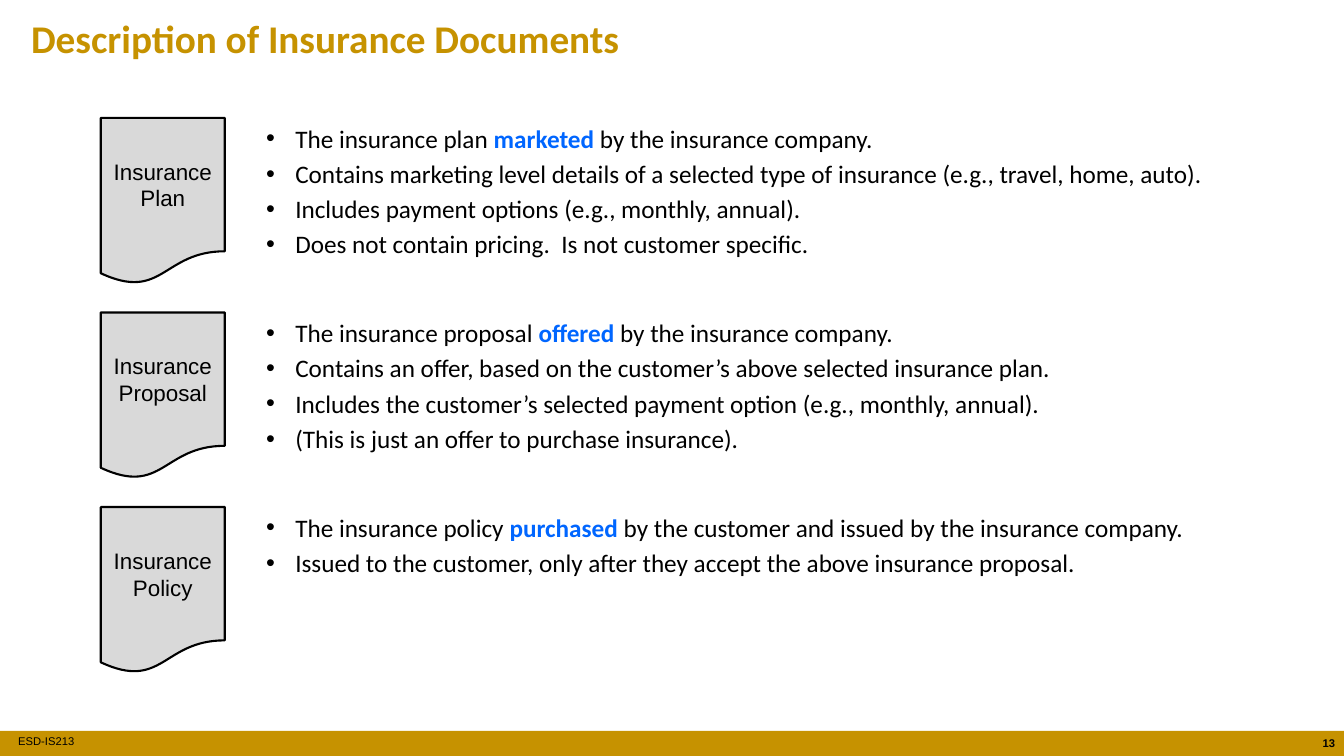
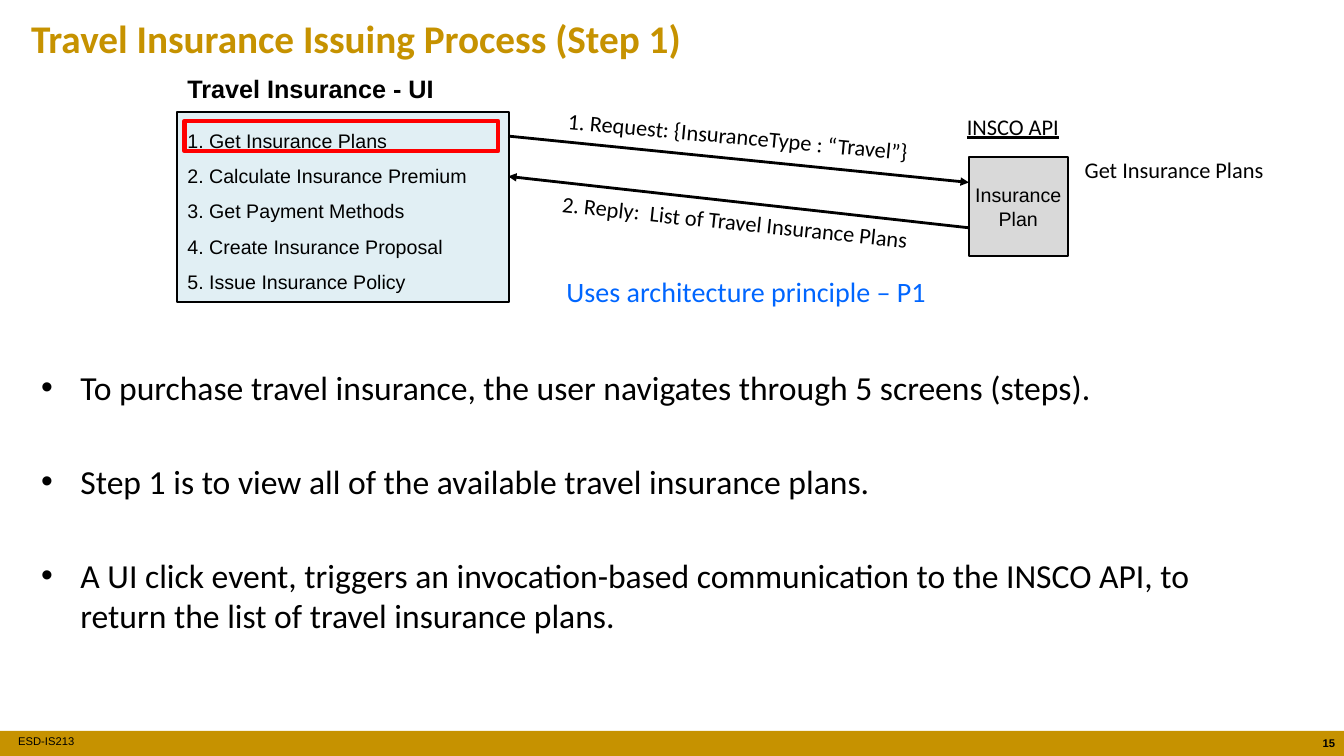
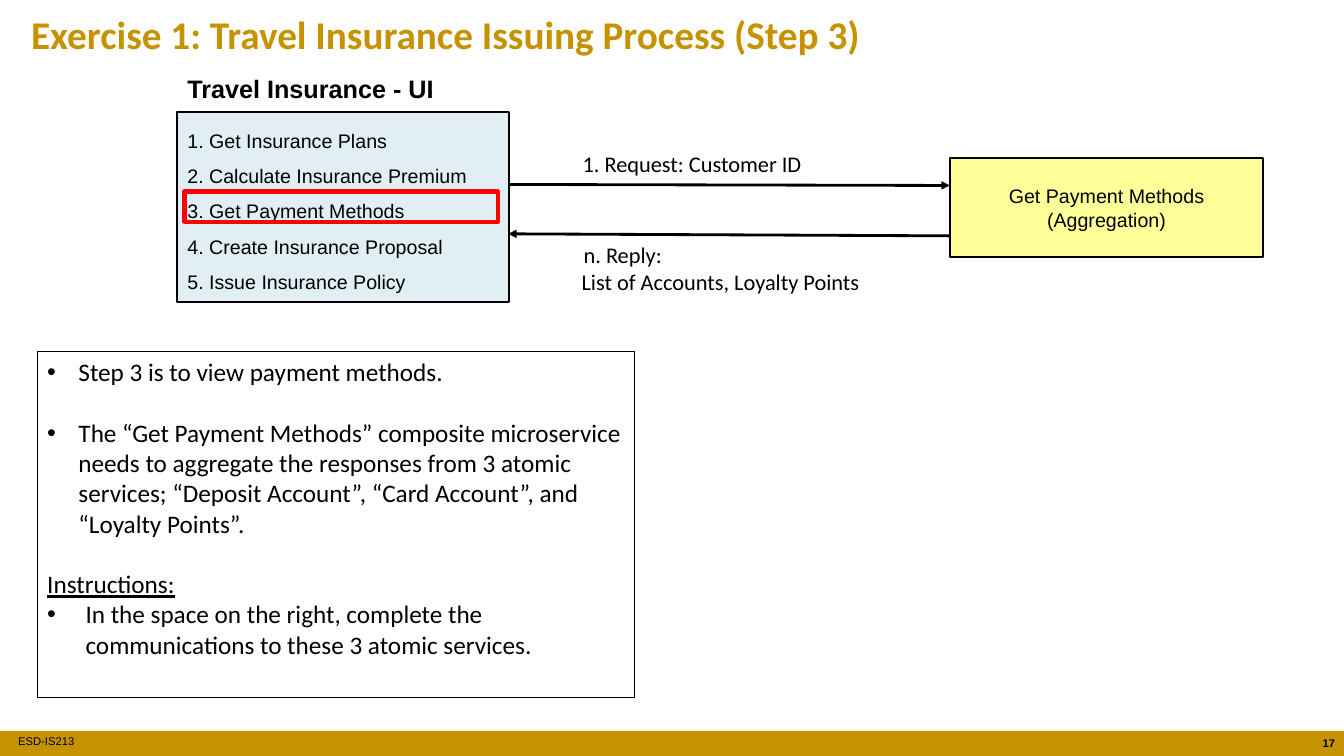
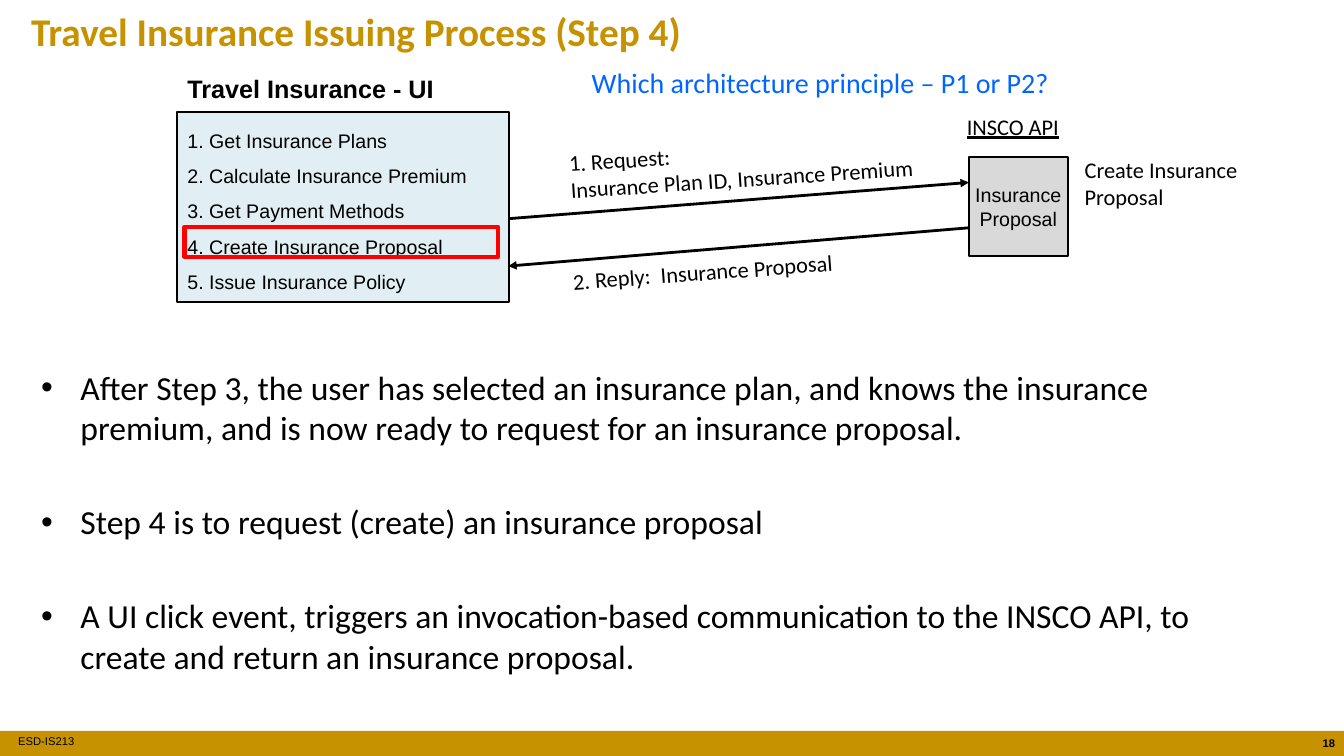
from dataclasses import dataclass, replace
from typing import NamedTuple, Optional, Sequence, Union

from lxml import etree
from pptx import Presentation
from pptx.dml.color import RGBColor
from pptx.enum.shapes import MSO_CONNECTOR, MSO_SHAPE
from pptx.enum.text import MSO_ANCHOR, PP_ALIGN
from pptx.oxml.ns import qn
from pptx.util import Pt

RECTANGLE, DOCUMENT = MSO_SHAPE.RECTANGLE, MSO_SHAPE.FLOWCHART_DOCUMENT
STRAIGHT = MSO_CONNECTOR.STRAIGHT
TOP, MIDDLE = MSO_ANCHOR.TOP, MSO_ANCHOR.MIDDLE
LEFT, CENTER, RIGHT = PP_ALIGN.LEFT, PP_ALIGN.CENTER, PP_ALIGN.RIGHT

EMU_PER_PX = 9144  # 100 px to the inch
SLIDE_WIDTH, SLIDE_HEIGHT = 1333, 750

GOLD, BLACK, BLUE, RED = "C69200", "000000", "0066FF", "FF0000"
GRAY, PALE_BLUE, YELLOW = "D9D9D9", "E1EFF4", "FFFF99"


class Box(NamedTuple):
    left: int
    top: int
    width: int
    height: int


class Insets(NamedTuple):
    left: int = 10
    top: int = 5
    right: int = 10
    bottom: int = 5


class Arrow(NamedTuple):
    start_x: int
    start_y: int
    end_x: int
    end_y: int


@dataclass(frozen=True)
class Style:
    size: int
    font: str = "Calibri"
    color: str = BLACK
    bold: bool = False
    underline: bool = False
    align: PP_ALIGN = LEFT
    line_spacing: Optional[float] = None


@dataclass(frozen=True)
class Line:
    """One paragraph; the accent is a bold blue word between text and rest."""
    text: str
    accent: str = ""
    rest: str = ""
    margin: int = 0
    bullet: bool = False
    before: float = 0
    underline: bool = False


@dataclass(frozen=True)
class Label:
    box: Box
    lines: Sequence[Union[str, Line]]
    rotation: float = 0


@dataclass(frozen=True)
class DocumentRow:
    name: str
    bullets: Sequence[Line]


@dataclass(frozen=True)
class ApiCall:
    """One step of the process that calls the insurance API."""
    number: str
    title: str
    title_top: int
    step: int
    service: str
    operation: Label
    arrows: Sequence[Arrow]
    messages: Sequence[Label]
    principle: Label
    bullets: Sequence[str]


TITLE = Style(28, color=GOLD, bold=True)
FOOTER = Style(8, "Arial")
PAGE_NUMBER = Style(8, "Arial", bold=True, align=RIGHT)
BODY, NOTE, MESSAGE = Style(24), Style(18), Style(16)
API_NAME = Style(16, underline=True)
PRINCIPLE = Style(20, color=BLUE)
DOCUMENT_NAME = Style(16, "Arial", align=CENTER)
SERVICE_NAME = Style(14, "Arial", align=CENTER)
SCREEN_TITLE = Style(18, "Arial", bold=True)
SCREEN_STEP = Style(14, "Arial", line_spacing=1.5)
TIGHT = Insets(4, 4, 4, 4)

SCREEN = Box(176, 111, 329, 189)
SCREEN_STEPS = (
    "1. Get Insurance Plans",
    "2. Calculate Insurance Premium",
    "3. Get Payment Methods",
    "4. Create Insurance Proposal",
    "5. Issue Insurance Policy",
)
STEP_PITCH = 35
DOCUMENT_TOP, DOCUMENT_PITCH, DOCUMENT_HEIGHT = 117, 193, 165


# Basic parts

def px(length: int) -> int:
    return length * EMU_PER_PX


def rgb(color: str) -> RGBColor:
    return RGBColor.from_string(color)


def place(box: Box) -> list:
    return [px(length) for length in box]


def add_bullet(paragraph, margin: int) -> None:
    properties = paragraph._p.get_or_add_pPr()
    properties.set("indent", str(-px(margin)))
    etree.SubElement(properties, qn("a:buFont")).set("typeface", "Arial")
    etree.SubElement(properties, qn("a:buChar")).set("char", "•")


def write_line(paragraph, line: Line, style: Style) -> None:
    paragraph.alignment = style.align
    paragraph.space_before = Pt(line.before)
    if style.line_spacing:
        paragraph.line_spacing = style.line_spacing
    if line.margin:
        paragraph._p.get_or_add_pPr().set("marL", str(px(line.margin)))
    if line.bullet:
        add_bullet(paragraph, line.margin)
    font = paragraph.font
    font.size, font.name = Pt(style.size), style.font
    font.bold = style.bold
    font.underline = style.underline or line.underline
    font.color.rgb = rgb(style.color)
    paragraph.add_run().text = line.text
    if line.accent:
        accent = paragraph.add_run()
        accent.text = line.accent
        accent.font.bold = True
        accent.font.color.rgb = rgb(BLUE)
        paragraph.add_run().text = line.rest


def write_text(shape, lines: Sequence[Union[str, Line]], style: Style,
               insets: Insets = Insets(), anchor: MSO_ANCHOR = TOP) -> None:
    frame = shape.text_frame
    frame.word_wrap = True
    frame.vertical_anchor = anchor
    frame.margin_left, frame.margin_top = px(insets.left), px(insets.top)
    frame.margin_right, frame.margin_bottom = px(insets.right), px(insets.bottom)
    for index, line in enumerate(lines):
        paragraph = frame.add_paragraph() if index else frame.paragraphs[0]
        write_line(paragraph, Line(line) if isinstance(line, str) else line, style)


def add_text(slide, box: Box, lines: Sequence[Union[str, Line]], style: Style,
             insets: Insets = Insets()) -> None:
    write_text(slide.shapes.add_textbox(*place(box)), lines, style, insets)


def add_label(slide, label: Label, style: Style) -> None:
    shape = slide.shapes.add_textbox(*place(label.box))
    shape.rotation = label.rotation
    write_text(shape, label.lines, style)


def add_shape(slide, box: Box, fill: Optional[str] = None, line: Optional[str] = BLACK,
              width: float = 1.5, kind: MSO_SHAPE = RECTANGLE):
    shape = slide.shapes.add_shape(kind, *place(box))
    shape.shadow.inherit = False
    if fill:
        shape.fill.solid()
        shape.fill.fore_color.rgb = rgb(fill)
    else:
        shape.fill.background()
    if line:
        shape.line.color.rgb = rgb(line)
        shape.line.width = Pt(width)
    else:
        shape.line.fill.background()
    return shape


def add_arrow(slide, arrow: Arrow) -> None:
    connector = slide.shapes.add_connector(STRAIGHT, *[px(value) for value in arrow])
    connector.line.color.rgb = rgb(BLACK)
    connector.line.width = Pt(2)
    head = etree.SubElement(connector.line._get_or_add_ln(), qn("a:tailEnd"))
    head.set("type", "triangle")
    etree.SubElement(connector._element.spPr, qn("a:effectLst"))


# Parts that slides share

def add_slide(presentation, title: str, number: str, title_top: int = 9):
    slide = presentation.slides.add_slide(presentation.slide_layouts[6])
    add_shape(slide, Box(0, 725, SLIDE_WIDTH, 25), GOLD, None)
    add_text(slide, Box(18, 724, 172, 25), ["ESD-IS213"], FOOTER, Insets(0, 5, 0, 5))
    add_text(slide, Box(1295, 726, 39, 24), [number], PAGE_NUMBER)
    add_text(slide, Box(21, title_top, 1285, 62), [title], TITLE)
    return slide


def add_screen(slide, step: int) -> None:
    """The user interface, with a red frame round the current step."""
    write_text(add_shape(slide, SCREEN, PALE_BLUE), SCREEN_STEPS, SCREEN_STEP)
    add_text(slide, Box(SCREEN.left, 68, 326, 40), ["Travel Insurance - UI"], SCREEN_TITLE)
    frame_top = 120 + (step - 1) * STEP_PITCH
    add_shape(slide, Box(183, frame_top, 311, 30), line=RED, width=3)


def add_service(slide, box: Box, lines: Sequence[str], fill: str) -> None:
    write_text(add_shape(slide, box, fill), lines, SERVICE_NAME, TIGHT, MIDDLE)


def spaced_bullets(texts: Sequence[str]) -> list:
    """Large bullets, set apart by an empty line's height."""
    first_gap, gap = 0.2 * BODY.size, 1.6 * BODY.size
    return [Line(text, margin=39, bullet=True, before=gap if index else first_gap)
            for index, text in enumerate(texts)]


# Slides

def add_documents_slide(presentation, rows: Sequence[DocumentRow]) -> None:
    slide = add_slide(presentation, "Description of Insurance Documents", "13")
    for index, row in enumerate(rows):
        top = DOCUMENT_TOP + index * DOCUMENT_PITCH
        document = add_shape(slide, Box(100, top, 123, DOCUMENT_HEIGHT), GRAY, kind=DOCUMENT)
        write_text(document, [row.name], DOCUMENT_NAME, anchor=MIDDLE)
        bullets = [replace(line, margin=29, bullet=True, before=0.2 * NOTE.size)
                   for line in row.bullets]
        add_text(slide, Box(254, top, 991, DOCUMENT_HEIGHT), bullets, NOTE)


def add_api_slide(presentation, call: ApiCall) -> None:
    slide = add_slide(presentation, call.title, call.number, call.title_top)
    add_service(slide, Box(961, 156, 98, 98), [call.service], GRAY)
    add_screen(slide, call.step)
    for arrow in call.arrows:
        add_arrow(slide, arrow)
    for label in (*call.messages, call.operation):
        add_label(slide, label, MESSAGE)
    add_text(slide, Box(949, 107, 258, 37), ["INSCO API"], API_NAME)
    add_text(slide, Box(31, 359, 1234, 338), spaced_bullets(call.bullets), BODY)
    add_label(slide, call.principle, PRINCIPLE)


def add_exercise_slide(presentation) -> None:
    title = "Exercise 1: Travel Insurance Issuing Process (Step 3)"
    slide = add_slide(presentation, title, "17", 5)
    add_screen(slide, 3)
    add_arrow(slide, Arrow(504, 183, 942, 184))
    add_arrow(slide, Arrow(942, 234, 504, 232))
    add_text(slide, Box(568, 144, 266, 37), ["1. Request: Customer ID"], MESSAGE)
    reply = [Line("n. Reply:", margin=2), "List of Accounts, Loyalty Points"]
    add_text(slide, Box(567, 234, 303, 64), reply, MESSAGE)
    add_service(slide, Box(942, 157, 311, 98),
                ["Get Payment Methods", "(Aggregation)"], YELLOW)
    gap = 1.2 * NOTE.size
    task = [
        Line("Step 3 is to view payment methods.", margin=31, bullet=True),
        Line("The “Get Payment Methods” composite microservice needs to aggregate "
             "the responses from 3 atomic services; “Deposit Account”, "
             "“Card Account”, and “Loyalty Points”.",
             margin=31, bullet=True, before=gap),
        Line("Instructions:", before=gap, underline=True),
        Line("In the space on the right, complete the communications to these "
             "3 atomic services.", margin=38, bullet=True),
    ]
    write_text(add_shape(slide, Box(37, 349, 592, 343), width=0.75), task, NOTE)


# Content

DOCUMENT_ROWS = (
    DocumentRow("Insurance Plan", (
        Line("The insurance plan ", "marketed", " by the insurance company."),
        Line("Contains marketing level details of a selected type of insurance "
             "(e.g., travel, home, auto)."),
        Line("Includes payment options (e.g., monthly, annual)."),
        Line("Does not contain pricing.  Is not customer specific."),
    )),
    DocumentRow("Insurance Proposal", (
        Line("The insurance proposal ", "offered", " by the insurance company."),
        Line("Contains an offer, based on the customer’s above selected insurance plan."),
        Line("Includes the customer’s selected payment option (e.g., monthly, annual)."),
        Line("(This is just an offer to purchase insurance)."),
    )),
    DocumentRow("Insurance Policy", (
        Line("The insurance policy ", "purchased",
             " by the customer and issued by the insurance company."),
        Line("Issued to the customer, only after they accept the above insurance proposal."),
    )),
)

GET_PLANS = ApiCall(
    number="15",
    title="Travel Insurance Issuing Process (Step 1)",
    title_top=9,
    step=1,
    service="Insurance Plan",
    operation=Label(Box(1066, 150, 200, 37), ["Get Insurance Plans"]),
    arrows=(Arrow(504, 135, 961, 181), Arrow(961, 226, 504, 175)),
    messages=(
        Label(Box(553, 117, 367, 37), ["1. Request: {InsuranceType : “Travel”}"], 5.3),
        Label(Box(547, 203, 389, 37), ["2. Reply:  List of Travel Insurance Plans"], 6),
    ),
    principle=Label(Box(552, 267, 398, 44), ["Uses architecture principle – P1"]),
    bullets=(
        "To purchase travel insurance, the user navigates through 5 screens (steps).",
        "Step 1 is to view all of the available travel insurance plans.",
        "A UI click event, triggers an invocation-based communication to the INSCO API, "
        "to return the list of travel insurance plans.",
    ),
)

CREATE_PROPOSAL = ApiCall(
    number="18",
    title="Travel Insurance Issuing Process (Step 4)",
    title_top=2,
    step=4,
    service="Insurance Proposal",
    operation=Label(Box(1066, 150, 252, 64), ["Create Insurance Proposal"]),
    arrows=(Arrow(504, 217, 961, 181), Arrow(961, 226, 504, 264)),
    messages=(
        Label(Box(555, 132, 367, 64),
              ["1. Request:", "Insurance Plan ID, Insurance Premium"], 356.2),
        Label(Box(558, 250, 317, 37), ["2. Reply:  Insurance Proposal"], 355.8),
    ),
    principle=Label(Box(577, 60, 482, 44), ["Which architecture principle – P1 or P2?"]),
    bullets=(
        "After Step 3, the user has selected an insurance plan, and knows the insurance "
        "premium, and is now ready to request for an insurance proposal.",
        "Step 4 is to request (create) an insurance proposal",
        "A UI click event, triggers an invocation-based communication to the INSCO API, "
        "to create and return an insurance proposal.",
    ),
)


def main() -> None:
    presentation = Presentation()
    presentation.slide_width = px(SLIDE_WIDTH)
    presentation.slide_height = px(SLIDE_HEIGHT)
    add_documents_slide(presentation, DOCUMENT_ROWS)
    add_api_slide(presentation, GET_PLANS)
    add_exercise_slide(presentation)
    add_api_slide(presentation, CREATE_PROPOSAL)
    presentation.save("out.pptx")


if __name__ == "__main__":
    main()
